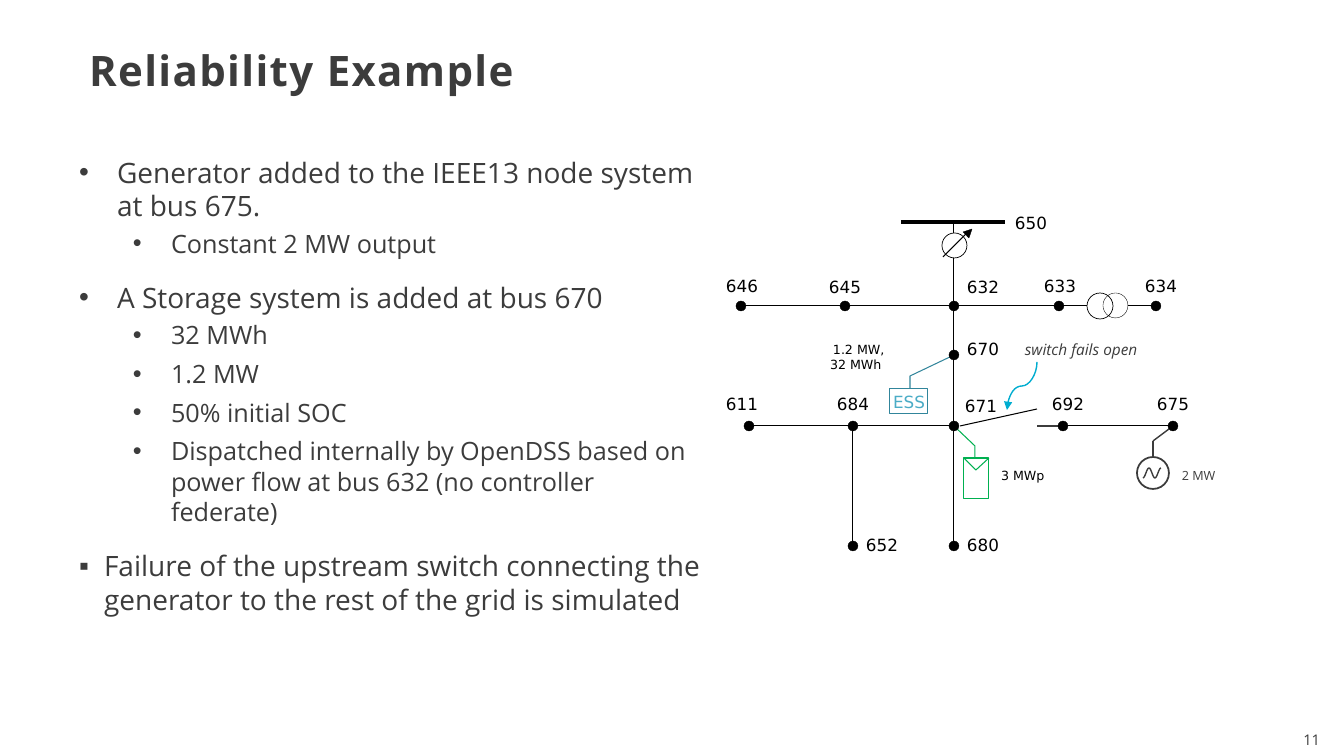
import math
from pptx import Presentation
from pptx import util as u
from pptx.dml.color import RGBColor
from pptx.enum import shapes, text
from pptx.oxml.ns import qn
from lxml import etree

INK, BLACK, WHITE = "3C3C3C", "000000", "FFFFFF"
GREEN, TEAL, CYAN = "00B050", "31859B", "00ADD0"
SANS, LABEL = "Open Sans", "DejaVu Sans"

# Content: (level, bullet, text)
TITLE = "Reliability Example"
POINTS = [
    (0, "•", "Generator added to the IEEE13 node system at bus 675."),
    (1, "•", "Constant 2 MW output"),
    (0, "•", "A Storage system is added at bus 670"),
    (1, "•", "32 MWh"),
    (1, "•", "1.2 MW"),
    (1, "•", "50% initial SOC"),
    (1, "•", "Dispatched internally by OpenDSS based on power flow at bus 632 "
             "(no controller federate)"),
    (0, "▪", "Failure of the upstream switch connecting the generator to the rest "
             "of the grid is simulated"),
]
# (level, bullet): (text indent, hang) in px
INDENTS = {(0, "•"): (38, 38), (1, "•"): (92, 38), (0, "▪"): (25, 25)}
# level: (size, space before, space after) in points
LEVELS = {0: (20, 12, 2), 1: (18, 2, 4)}

# Bus: (centre x, centre y, label left, label top)
BUSES = {
    "646": (741, 306, 726, 276), "645": (845, 306, 829, 277),
    "632": (954, 306, 967, 277), "633": (1059, 306, 1044, 276),
    "634": (1156, 306, 1145, 276), "670": (954, 355, 967, 339),
    "611": (749, 426, 726, 394), "684": (853, 426, 837, 394),
    "671": (954, 426, 965, 396), "692": (1063, 426, 1052, 394),
    "675": (1173, 426, 1157, 394), "652": (853, 546, 866, 535),
    "680": (954, 546, 967, 535),
}
BRANCHES = [("646", "645"), ("645", "632"), ("632", "633"), ("632", "671"),
            ("611", "684"), ("684", "671"), ("671", "680"), ("684", "652"),
            ("692", "675")]
# Other lines: (x1, y1, x2, y2, colour, width)
LINES = [
    (901, 222, 1005, 222, BLACK, 2.5),     # substation bus 650
    (954, 222, 954, 233, BLACK, 0.75),
    (954, 258, 954, 306, BLACK, 0.75),
    (1059, 306, 1087, 306, BLACK, 0.75),   # transformer leads
    (1128, 306, 1156, 306, BLACK, 0.75),
    (960, 426, 1037, 409, BLACK, 0.75),    # open switch
    (1059, 426, 1037, 426, INK, 1),
    (1169, 429, 1153, 441, INK, 1),        # generator lead
    (1153, 441, 1153, 457, INK, 1),
]
# Circles: (left, top, size, fill, line colour, line width)
CIRCLES = [
    (942, 233, 25, WHITE, BLACK, 0.5),
    (1087, 293, 26, WHITE, BLACK, 0.5),
    (1103, 293, 25, None, BLACK, 0.25),
    (1137, 457, 32, WHITE, INK, 1.25),
]
WAVE = [(1143 + 18 * i / 24, 473 + 5 * math.cos(3 * math.pi * i / 24)) for i in range(25)]
# Outlines: (points, line colour, line width)
OUTLINES = [
    ([(954, 426), (975, 446), (975, 458)], GREEN, 0.75),
    ([(964, 458), (976, 470), (989, 458)], GREEN, 0.75),
    ([(954, 355), (910, 376), (910, 389)], TEAL, 0.75),
    (WAVE, INK, 1),
]
RATINGS = [("3 MWp", 1001, 468), ("1.2 MW,", 833, 342), ("32 MWh", 830, 357)]


def px(n):
    return u.Emu(round(n * 914400 / 100.8))


def colour(code):
    return RGBColor.from_string(code)


def write(para, words, size, font=SANS, ink=INK, bold=False, italic=False):
    span = para.add_run()
    span.text = words
    span.font.size, span.font.name = u.Pt(size), font
    span.font.bold, span.font.italic = bold, italic
    span.font.color.rgb = colour(ink)
    return span


def textbox(words, left, top, width, height, size, inset=True, align=None, **style):
    box = page.shapes.add_textbox(px(left), px(top), px(width), px(height))
    frame = box.text_frame
    frame.word_wrap = inset
    if not inset:
        frame.margin_left = frame.margin_right = frame.margin_top = frame.margin_bottom = 0
    frame.paragraphs[0].alignment = align
    write(frame.paragraphs[0], words, size, **style)


def paint(shape, fill, line, width):
    shape.shadow.inherit = False
    if fill:
        shape.fill.solid()
        shape.fill.fore_color.rgb = colour(fill)
    else:
        shape.fill.background()
    shape.line.color.rgb = colour(line)
    shape.line.width = u.Pt(width)
    return shape


def preset(kind, left, top, width, height, fill, line, width_pt):
    shape = page.shapes.add_shape(kind, px(left), px(top), px(width), px(height))
    return paint(shape, fill, line, width_pt)


def outline(points, line, width, fill=None, close=False):
    corners = [(px(x), px(y)) for x, y in points]
    builder = page.shapes.build_freeform(*corners[0])
    builder.add_line_segments(corners[1:], close=close)
    return paint(builder.convert_to_shape(), fill, line, width)


def connect(x1, y1, x2, y2, line, width, kind=shapes.MSO_CONNECTOR.STRAIGHT):
    wire = page.shapes.add_connector(kind, px(x1), px(y1), px(x2), px(y2))
    wire.line.color.rgb = colour(line)
    wire.line.width = u.Pt(width)
    etree.SubElement(wire._element.spPr, qn("a:effectLst"))
    return wire


deck = Presentation()
deck.slide_width, deck.slide_height = px(1344), px(756)
page = deck.slides.add_slide(deck.slide_layouts[1])
title, body = page.placeholders[0], page.placeholders[1]

# Title
title.left, title.top, title.width, title.height = px(79), px(49), px(1098), px(49)
title.text_frame.auto_size = text.MSO_AUTO_SIZE.NONE
title.text_frame.vertical_anchor = text.MSO_ANCHOR.MIDDLE
para = title.text_frame.paragraphs[0]
para.alignment, para.line_spacing = text.PP_ALIGN.LEFT, 0.85
write(para, TITLE, 30, bold=True).font._element.set("spc", "100")

# Bullet list
body.left, body.top, body.width, body.height = px(79), px(150), px(627), px(518)
frame = body.text_frame
frame.auto_size = text.MSO_AUTO_SIZE.NONE
frame.vertical_anchor = text.MSO_ANCHOR.TOP
frame.margin_left = frame.margin_right = 0
for i, (level, bullet, words) in enumerate(POINTS):
    para = frame.add_paragraph() if i else frame.paragraphs[0]
    size, before, after = LEVELS[level]
    para.level, para.line_spacing = level, 1.0
    para.space_before, para.space_after = u.Pt(before), u.Pt(after)
    indent, hang = INDENTS[level, bullet]
    props = para._p.get_or_add_pPr()
    props.set("marL", str(px(indent)))
    props.set("indent", str(-px(hang)))
    etree.SubElement(props, qn("a:buFont")).set("typeface", "Arial")
    etree.SubElement(props, qn("a:buChar")).set("char", bullet)
    write(para, words, size)

# Feeder lines
for start, end in BRANCHES:
    connect(*BUSES[start][:2], *BUSES[end][:2], BLACK, 0.75)
for line in LINES:
    connect(*line)

# Regulator, transformer and generator circles
for left, top, size, fill, line, width in CIRCLES:
    preset(shapes.MSO_SHAPE.OVAL, left, top, size, size, fill, line, width)
connect(943, 257, 967, 233, BLACK, 0.75)
outline([(963, 232), (972, 229), (969, 238)], BLACK, 0.25, fill=BLACK, close=True)

# Solar panel, storage lead and generator wave
preset(shapes.MSO_SHAPE.RECTANGLE, 964, 458, 25, 41, None, GREEN, 0.75)
for points, line, width in OUTLINES:
    outline(points, line, width)

# Storage unit
storage = preset(shapes.MSO_SHAPE.RECTANGLE, 890, 389, 38, 25, None, TEAL, 0.75)
frame = storage.text_frame
frame.margin_left = frame.margin_right = frame.margin_top = frame.margin_bottom = 0
frame.word_wrap = False
frame.paragraphs[0].alignment = text.PP_ALIGN.CENTER
write(frame.paragraphs[0], "ESS", 12, font=LABEL, ink="4BACC6")

# Buses and labels
for name, (x, y, left, top) in BUSES.items():
    preset(shapes.MSO_SHAPE.OVAL, x - 5, y - 5, 10, 10, BLACK, BLACK, 0.25)
    textbox(name, left, top, 40, 23, 12, inset=False, font=LABEL, ink=BLACK)
textbox("650", 1015, 213, 40, 23, 12, inset=False, font=LABEL, ink=BLACK)
for words, left, top in RATINGS:
    textbox(words, left, top, 56, 16, 9, inset=False, font=LABEL, ink=BLACK)
textbox("2 MW", 1172, 463, 57, 25, 9)

# Switch note with its curved arrow, turned a quarter
textbox("switch fails open", 1015, 335, 228, 29, 11, italic=True)
arrow = connect(998, 371, 1046, 401, CYAN, 1, kind=shapes.MSO_CONNECTOR.CURVE)
arrow._element.spPr.find(qn("a:xfrm")).set("rot", "5400000")
etree.SubElement(arrow.line._get_or_add_ln(), qn("a:tailEnd")).set("type", "triangle")

# Page number
textbox("11", 1260, 726, 70, 29, 10.5, align=text.PP_ALIGN.RIGHT)

deck.save("out.pptx")
